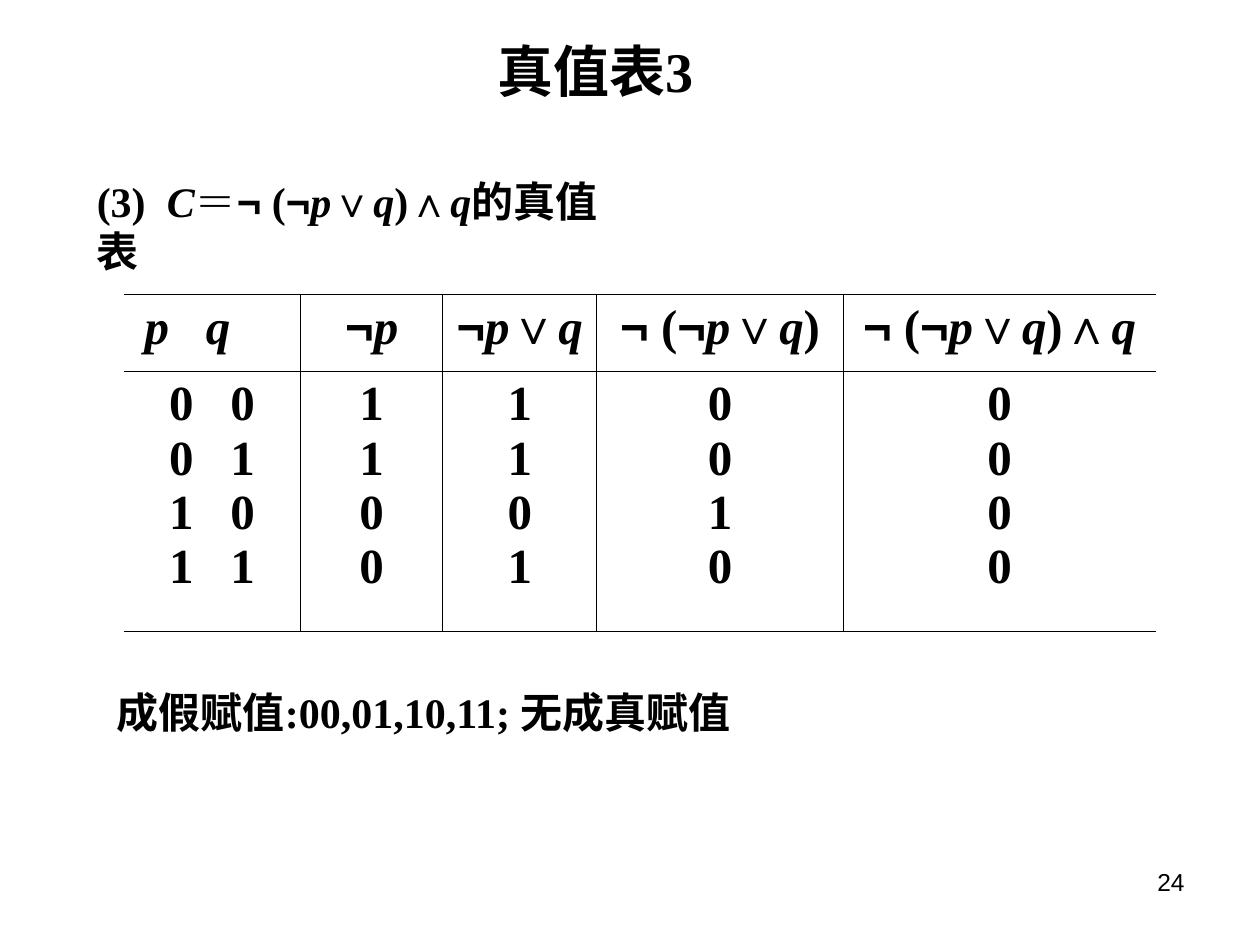
from dataclasses import dataclass
from itertools import groupby

from lxml.etree import SubElement
from pptx import Presentation
from pptx.dml.color import RGBColor
from pptx.enum.text import MSO_ANCHOR, PP_ALIGN
from pptx.oxml.ns import qn
from pptx.util import Pt

SERIF, SANS, HAN = "Times New Roman", "Arial", "Noto Sans CJK SC"
INK = "000000"
RULE = 0.45
GAP = 35


@dataclass
class Label:
    text: str
    left: float
    top: float
    width: float
    height: float
    size: float
    font: str = SERIF
    bold: bool = True
    wrap: bool = False
    align: PP_ALIGN = PP_ALIGN.LEFT
    anchor: MSO_ANCHOR = MSO_ANCHOR.TOP
    tab: float = 0


@dataclass
class Column:
    head: str
    vals: list[str]
    width: float
    pair: bool = False


LABELS = [
    Label("(3)\tC＝¬ (¬p∨q)∧q的真值表", 48.24, 110.88, 311.76, 36, 24,
          wrap=True, anchor=MSO_ANCHOR.MIDDLE, tab=40),
    Label("成假赋值:00,01,10,11; 无成真赋值", 59.76, 388.8, 378, 36, 24,
          anchor=MSO_ANCHOR.MIDDLE),
    Label("真值表3", 277.2, 17.28, 133.92, 46.08, 32),
    Label("24", 516.24, 491.76, 167.76, 37.44, 14, font=SANS, bold=False,
          wrap=True, align=PP_ALIGN.RIGHT),
]
COLUMNS = [
    Column("p\tq", ["0\t0", "0\t1", "1\t0", "1\t1"], 101, pair=True),
    Column("¬p", list("1100"), 81.2),
    Column("¬p∨q", list("1101"), 88),
    Column("¬ (¬p∨q)", list("0010"), 141),
    Column("¬ (¬p∨q)∧q", list("0000"), 178.4),
]
HEIGHTS = [43.92, 149.04]


def color(code: str) -> RGBColor:
    return RGBColor.from_string(code)


def style(char: str, font: str) -> tuple[str, str, bool]:
    if "一" <= char <= "鿿":
        return font, HAN, False
    if char in "¬∨∧":
        return SANS, SANS, False
    return font, font, char in "pqC"


def write(para, text: str, size: float, font: str = SERIF,
          bold: bool = True) -> None:
    for (face, east, slant), chars in groupby(text, lambda c: style(c, font)):
        run = para.add_run()
        run.text = "".join(chars)
        run.font.name = face
        run.font.size = Pt(size)
        run.font.bold = bold
        run.font.italic = slant
        run.font.color.rgb = color(INK)
        SubElement(run.font._element, qn("a:ea"), typeface=east)


def stop(para, pos: float) -> None:
    tabs = SubElement(para._p.get_or_add_pPr(), qn("a:tabLst"))
    SubElement(tabs, qn("a:tab"), pos=str(Pt(pos)), algn="l")


def put(slide, label: Label) -> None:
    box = slide.shapes.add_textbox(Pt(label.left), Pt(label.top),
                                   Pt(label.width), Pt(label.height))
    frame = box.text_frame
    frame.word_wrap = label.wrap
    frame.vertical_anchor = label.anchor
    para = frame.paragraphs[0]
    para.alignment = label.align
    if label.tab:
        stop(para, label.tab)
    write(para, label.text, label.size, label.font, label.bold)


def edge(cell, side: str, shown: bool) -> None:
    line = SubElement(cell._tc.get_or_add_tcPr(), qn(f"a:ln{side}"),
                      w=str(Pt(RULE)))
    if shown:
        fill = SubElement(line, qn("a:solidFill"))
        SubElement(fill, qn("a:srgbClr"), val=INK)
    else:
        SubElement(line, qn("a:noFill"))


def grid(slide, left: float, top: float) -> None:
    width = sum(col.width for col in COLUMNS)
    frame = slide.shapes.add_table(len(HEIGHTS), len(COLUMNS), Pt(left),
                                   Pt(top), Pt(width), Pt(sum(HEIGHTS)))
    table = frame.table
    table.first_row = table.horz_banding = False
    for row, height in zip(table.rows, HEIGHTS):
        row.height = Pt(height)
    last = len(COLUMNS) - 1
    for i, col in enumerate(COLUMNS):
        table.columns[i].width = Pt(col.width)
        for j, (lines, inset) in enumerate([([col.head], 11.9),
                                            (col.vals, 25.9)]):
            cell = table.cell(j, i)
            for side, shown in [("L", i > 0), ("R", i < last),
                                ("T", True), ("B", True)]:
                edge(cell, side, shown)
            cell.fill.background()
            if col.pair:
                cell.margin_left = Pt(inset)
            for k, text in enumerate(lines):
                body = cell.text_frame
                para = body.add_paragraph() if k else body.paragraphs[0]
                if col.pair:
                    para.alignment = PP_ALIGN.LEFT
                    stop(para, GAP)
                else:
                    para.alignment = PP_ALIGN.CENTER
                write(para, text, 28)


def main() -> None:
    deck = Presentation()
    deck.slide_width, deck.slide_height = Pt(720), Pt(540)
    slide = deck.slides.add_slide(deck.slide_layouts[6])
    for label in LABELS[:2]:
        put(slide, label)
    grid(slide, 70.8, 168)
    for label in LABELS[2:]:
        put(slide, label)
    deck.save("out.pptx")


if __name__ == "__main__":
    main()
